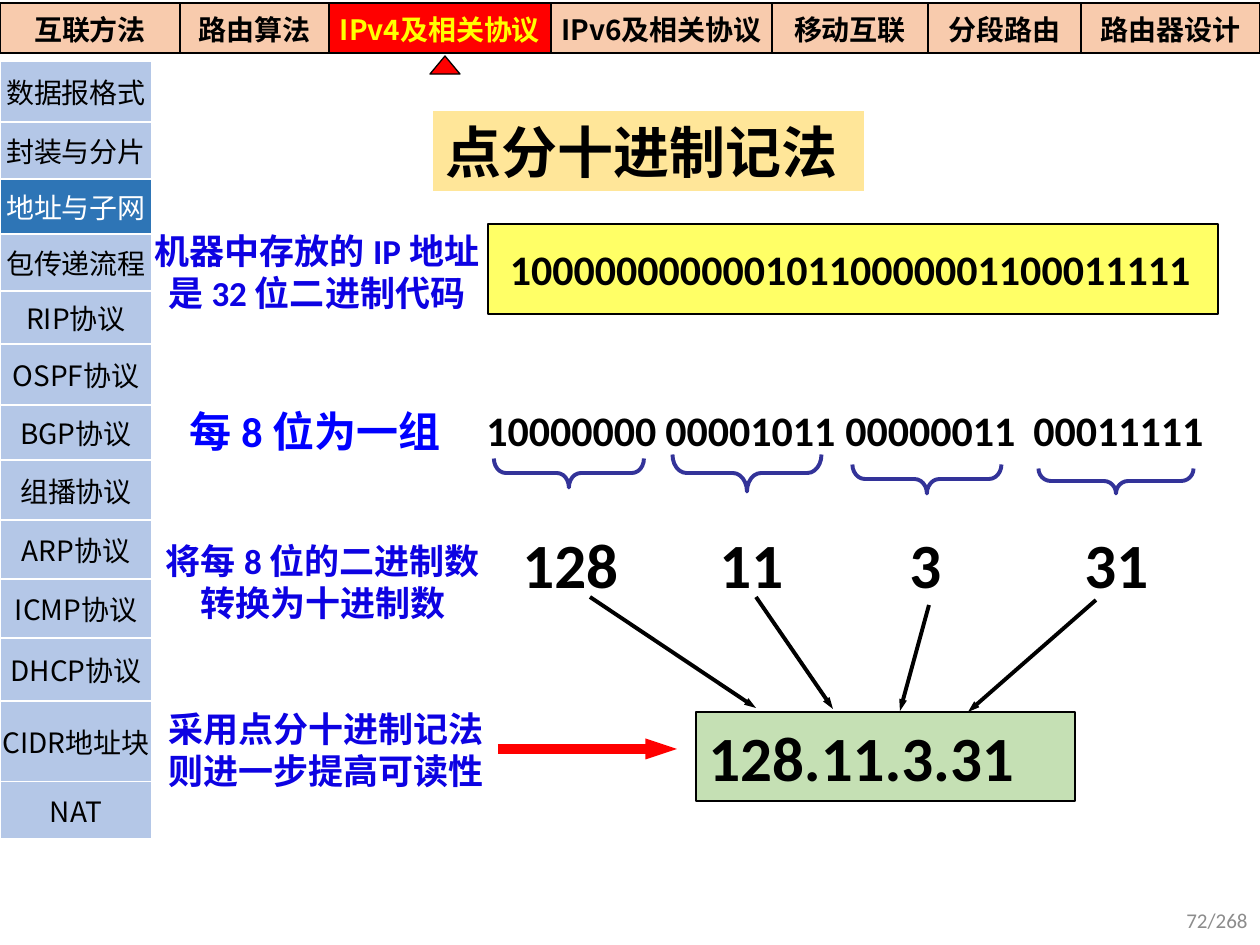
from lxml import etree
from pptx import Presentation
from pptx.dml.color import RGBColor
from pptx.enum.shapes import MSO_CONNECTOR, MSO_SHAPE
from pptx.enum.text import MSO_ANCHOR, MSO_AUTO_SIZE, PP_ALIGN
from pptx.oxml.ns import qn
from pptx.util import Pt

LEFT, CENTER, RIGHT = PP_ALIGN.LEFT, PP_ALIGN.CENTER, PP_ALIGN.RIGHT
TOP, MIDDLE = MSO_ANCHOR.TOP, MSO_ANCHOR.MIDDLE
RECT, BRACE = MSO_SHAPE.RECTANGLE, MSO_SHAPE.LEFT_BRACE
MARKER = MSO_SHAPE.FLOWCHART_EXTRACT
LATIN, CJK = "Calibri", "Noto Sans CJK SC"
EMU_PER_PX = 914400 / 126
BLUE = "0D02E2"

# Content
CHAPTERS = [("互联方法", 180), ("路由算法", 149), ("IPv4及相关协议", 222),
            ("IPv6及相关协议", 221), ("移动互联", 156), ("分段路由", 153),
            ("路由器设计", 179)]
SECTIONS = [("数据报格式", 61), ("封装与分片", 57), ("地址与子网", 55),
            ("包传递流程", 57), ("RIP协议", 53), ("OSPF协议", 61),
            ("BGP协议", 55), ("组播协议", 60), ("ARP协议", 59),
            ("ICMP协议", 59), ("DHCP协议", 63), ("CIDR地址块", 63), ("NAT", 57)]
CURRENT_CHAPTER, CURRENT_SECTION = 2, 2
TITLE = "点分十进制记法"
# (lines, box, size, colour, alignment)
STEPS = [
    (["机器中存放的 IP 地址", "是 32 位二进制代码"], (140, 223, 354, 97), 20, BLUE, CENTER),
    (["每 8 位为一组"], (175, 399, 280, 64), 24, "0000FF", CENTER),
    (["将每 8 位的二进制数", "转换为十进制数"], (151, 533, 344, 97), 20, BLUE, CENTER),
    (["采用点分十进制记法", "则进一步提高可读性"], (156, 701, 345, 97), 20, BLUE, LEFT),
]
OCTETS = ["10000000", "00001011", "00000011", "00011111"]
OCTET_X = [487, 666, 846, 1034]
DECIMALS = ["128", "11", "3", "31"]
DECIMAL_X = [523, 720, 910, 1085]
# (centre x, centre y, depth, span, curvature)
BRACES = [(569, 473, 29, 150, 0.41), (747, 473, 37, 149, 0.38),
          (927, 479, 29, 149, 0.43), (1116, 481, 25, 155, 0.49)]
# (start, end, colour, width)
ARROWS = [((590, 597), (756, 708), "000000", 2.25),
          ((1096, 600), (968, 712), "000000", 2.25),
          ((756, 597), (833, 709), "000000", 2.25),
          ((929, 605), (900, 711), "000000", 2.25),
          ((498, 749), (677, 749), "FF0000", 6)]


def px(n):
    return round(n * EMU_PER_PX)


def rgb(value):
    return RGBColor.from_string(value)


def write(tf, lines, size, color="000000", bold=True, align=LEFT, anchor=TOP,
          font=LATIN, tabs=()):
    tf.word_wrap = True
    tf.vertical_anchor = anchor
    for i, line in enumerate(lines):
        p = tf.paragraphs[0] if i == 0 else tf.add_paragraph()
        p.alignment = align
        if tabs:
            tab_list = etree.SubElement(p._p.get_or_add_pPr(), qn("a:tabLst"))
            for pos in tabs:
                etree.SubElement(tab_list, qn("a:tab"), pos=str(px(pos)), algn="l")
        r = p.add_run()
        r.text = line
        f = r.font
        f.name, f.size, f.bold = font, Pt(size), bold
        f.color.rgb = rgb(color)
        latin = r._r.rPr.find(qn("a:latin"))
        latin.addnext(etree.Element(qn("a:ea"), typeface=CJK))


def add_text(box, lines, size, **fmt):
    s = slide.shapes.add_textbox(*map(px, box))
    write(s.text_frame, lines, size, **fmt)


def add_tabbed(box, words, starts, size):
    inset = 13
    tabs = [x - box[0] - inset for x in starts[1:]]
    add_text(box, ["\t".join(words)], size, tabs=tabs)


def add_shape(kind, box, fill=None, line=None, width=0.75):
    s = slide.shapes.add_shape(kind, *map(px, box))
    s.shadow.inherit = False
    if fill:
        s.fill.solid()
        s.fill.fore_color.rgb = rgb(fill)
    else:
        s.fill.background()
    if line:
        s.line.color.rgb = rgb(line)
        s.line.width = Pt(width)
    else:
        s.line.fill.background()
    return s


def style_cell(cell, text, fill, color, border, bold):
    cell.margin_left = cell.margin_right = cell.margin_top = cell.margin_bottom = 0
    cell.vertical_anchor = MIDDLE
    tc_pr = cell._tc.get_or_add_tcPr()
    for side in ("lnL", "lnR", "lnT", "lnB"):
        ln = etree.SubElement(tc_pr, qn("a:" + side), w=str(Pt(1)))
        solid = etree.SubElement(ln, qn("a:solidFill"))
        etree.SubElement(solid, qn("a:srgbClr"), val=border)
    cell.fill.solid()
    cell.fill.fore_color.rgb = rgb(fill)
    write(cell.text_frame, [text], 16, color=color, bold=bold, align=CENTER,
          anchor=MIDDLE, font=CJK)


def add_menu(rows, cols, box, items, current, normal, active, border, bold):
    table = slide.shapes.add_table(rows, cols, *map(px, box)).table
    table.first_row = table.horz_banding = False
    for i, (text, length) in enumerate(items):
        if rows == 1:
            table.columns[i].width = px(length)
        else:
            table.rows[i].height = px(length)
        fill, color = active if i == current else normal
        cell = table.cell(0, i) if rows == 1 else table.cell(i, 0)
        style_cell(cell, text, fill, color, border, bold)


def add_arrow(start, end, color, width):
    s = slide.shapes.add_connector(MSO_CONNECTOR.STRAIGHT, *map(px, start + end))
    s.line.color.rgb = rgb(color)
    s.line.width = Pt(width)
    etree.SubElement(s.line._get_or_add_ln(), qn("a:tailEnd"),
                     type="triangle", w="sm", len="med")
    etree.SubElement(s._element.spPr, qn("a:effectLst"))


prs = Presentation()
prs.slide_width, prs.slide_height = px(1260), px(945)
slide = prs.slides.add_slide(prs.slide_layouts[5])

# Chapter bar and section menu
add_menu(1, len(CHAPTERS), (0, 3, 1260, 50), CHAPTERS, CURRENT_CHAPTER,
         ("F8CBAD", "000000"), ("FF0000", "FFFF00"), "000000", True)
add_shape(MARKER, (430, 56, 30, 18), "FF0000", "000000")
add_menu(len(SECTIONS), 1, (0, 61, 152, 760), SECTIONS, CURRENT_SECTION,
         ("B4C7E7", "000000"), ("2E75B6", "FFFFFF"), "FFFFFF", False)

# Title
title = slide.shapes.title
title.left, title.top, title.width, title.height = map(px, (433, 111, 431, 80))
title.fill.solid()
title.fill.fore_color.rgb = rgb("FFE699")
write(title.text_frame, [TITLE], 32)
title.text_frame.auto_size = MSO_AUTO_SIZE.NONE

# Steps on the left
for lines, box, size, color, align in STEPS:
    add_text(box, lines, size, color=color, align=align)

# Binary address, its octets and their decimal values
binary = add_shape(RECT, (488, 224, 730, 90), "FFFF66", "000000")
write(binary.text_frame, ["".join(OCTETS)], 24, anchor=MIDDLE)
binary.text_frame.margin_left = px(22)
add_tabbed((474, 398, 786, 64), OCTETS, OCTET_X, 24)
for cx, cy, depth, span, curve in BRACES:
    brace = add_shape(BRACE, (cx - depth / 2, cy - span / 2, depth, span),
                      line="333399", width=2.25)
    brace.rotation = 270
    brace.adjustments[0] = curve
add_tabbed((510, 519, 672, 89), DECIMALS, DECIMAL_X, 36)

# Dotted decimal result
result = add_shape(RECT, (696, 712, 379, 89), "C5E0B4", "000000", 1.5)
write(result.text_frame, [".".join(DECIMALS)], 36)
for arrow in ARROWS:
    add_arrow(*arrow)

# Page number
add_text((977, 895, 283, 50), ["72/268"], 12, color="8C8C8C", bold=False,
         align=RIGHT, anchor=MIDDLE)

prs.save("out.pptx")
